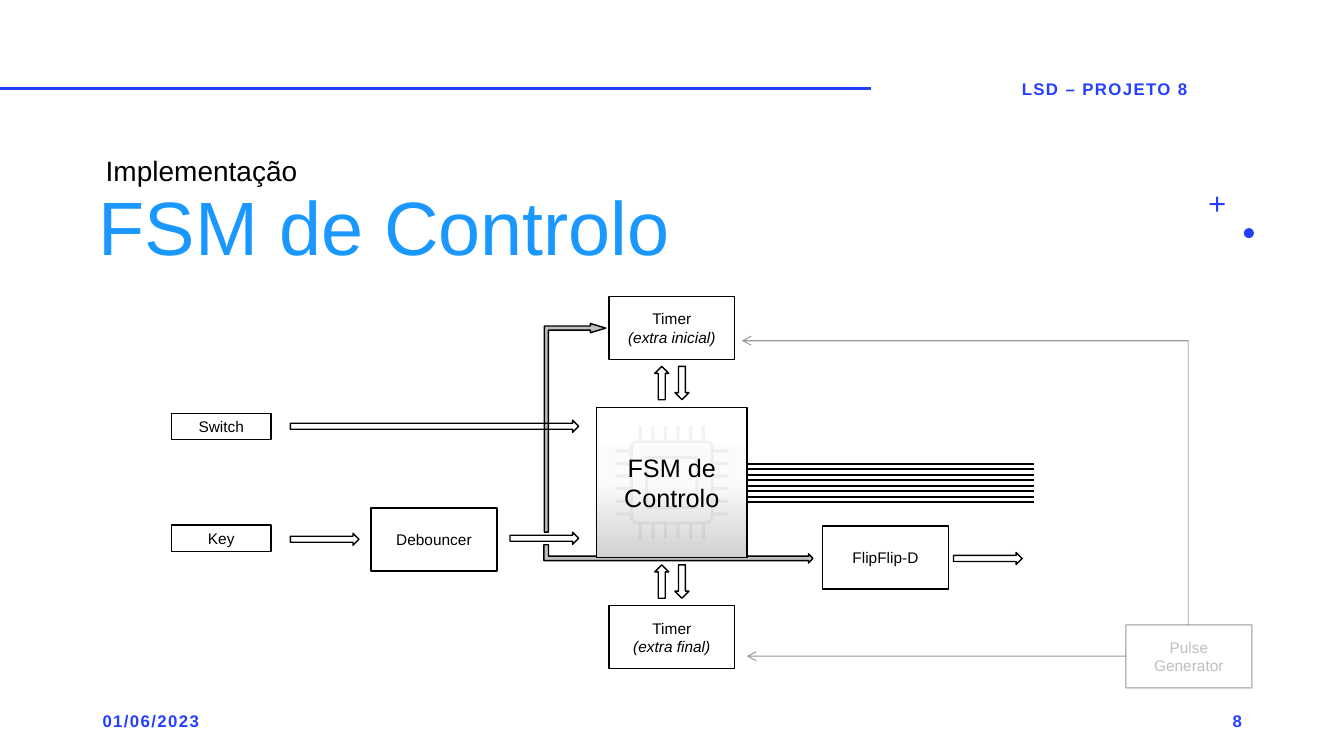
from math import cos, pi, sin

from lxml import etree
from pptx import Presentation
from pptx.dml.color import RGBColor
from pptx.enum.shapes import MSO_CONNECTOR, MSO_SHAPE
from pptx.enum.text import MSO_ANCHOR, PP_ALIGN
from pptx.oxml.ns import qn
from pptx.util import Pt

RECT, ARROW = MSO_SHAPE.RECTANGLE, MSO_SHAPE.RIGHT_ARROW
BENT, BENT_UP = MSO_SHAPE.BENT_ARROW, MSO_SHAPE.BENT_UP_ARROW
CROSS, OVAL = MSO_SHAPE.CROSS, MSO_SHAPE.OVAL
STRAIGHT = MSO_CONNECTOR.STRAIGHT
LEFT, CENTER, RIGHT = PP_ALIGN.LEFT, PP_ALIGN.CENTER, PP_ALIGN.RIGHT
MIDDLE, BOTTOM = MSO_ANCHOR.MIDDLE, MSO_ANCHOR.BOTTOM

BLUE, SKY, BLACK, GRAY = "243FFF", "1A98FF", "000000", "BFBFBF"
SMALL = {"size": Pt(12), "bold": True}
LABEL = {"size": Pt(11)}

# text, position and size, alignment, anchor, colour, font, letter spacing
TEXTS = [
    ("01/06/2023", (66.2, 500.4, 216, 28.8), LEFT, MIDDLE, BLUE, SMALL, 1),
    ("LSD – PROJETO 8", (627.1, 49, 324, 28.8), CENTER, MIDDLE, BLUE, SMALL, 1),
    ("8", (678.2, 500.4, 216, 28.8), RIGHT, MIDDLE, BLUE, SMALL, 1),
    ("FSM de Controlo", (63.4, 105.1, 487.4, 92.9), LEFT, BOTTOM, SKY, {"size": Pt(54)}, 0),
    ("Implementação", (68.4, 44.6, 487.4, 92.9), LEFT, BOTTOM, BLACK, {"size": Pt(20)}, 0),
]
PORT, BLOCK = (71.3, 18.7), (90, 45)
# label, italic second line, left and top, size, text colour, line opacity
BOXES = [
    ("Switch", "", (122.4, 295.2), PORT, BLACK, 100),
    ("Key", "", (122.4, 375.1), PORT, BLACK, 100),
    ("Debouncer", "", (265, 362.9), BLOCK, BLACK, 100),
    ("Timer", "(extra inicial)", (434.9, 211.7), BLOCK, BLACK, 100),
    ("Timer", "(extra final)", (434.9, 432.7), BLOCK, BLACK, 100),
    ("FlipFlip-D", "", (587.5, 375.8), BLOCK, BLACK, 100),
    ("Pulse Generator", "", (804.2, 446.4), BLOCK, GRAY, 25),
]
FSM = (426.2, 290.9, 107.3, 107.3)
FSM_STOPS = [(0, "FFFFFF"), (50, "FBFBFB"), (100, "D1D1D1")]
SIGNALS = [(207.4, 300.2, 205.9), (207.4, 380.9, 49), (364.3, 380.2, 49), (681.1, 394.6, 49)]
TIMER_LINKS = [(472.7, 270), (487.1, 90)]
TIMER_LINK_CENTERS = [273.6, 415.4]
# start, end, width, opacity, arrowhead
PULSES = [
    ((804.2, 468.7), (533.5, 468.7), 0.75, 40, True),
    ((848.9, 446.4), (848.9, 243.4), 1, 20, False),
    ((848.9, 243.4), (529.9, 243.4), 0.75, 40, True),
]


def rgb(color):
    """Turn a hex string into a colour."""
    return RGBColor.from_string(color)


def set_alpha(s, percent):
    """Make every colour of the shape partly transparent."""
    if percent < 100:
        for clr in s._element.spPr.iter(qn("a:srgbClr")):
            etree.SubElement(clr, qn("a:alpha"), val=str(percent * 1000))


def style(s, fill=None, line=None, width=1, alpha=100):
    """Set fill, line and opacity, and remove the shadow."""
    s.shadow.inherit = False
    for part, color in ((s.fill, fill), (s.line.fill, line)):
        if color:
            part.solid()
            part.fore_color.rgb = rgb(color)
        else:
            part.background()
    if line:
        s.line.width = Pt(width)
    set_alpha(s, alpha)
    return s


def add_shape(kind, box, adjust=(), rotation=0, **look):
    """Add a preset shape."""
    s = shapes.add_shape(kind, *map(Pt, box))
    for i, value in enumerate(adjust):
        s.adjustments[i] = value
    s.rotation = rotation
    return style(s, **look)


def add_line(start, end, color, width, alpha=100, head=False):
    """Add a straight line, with an open arrowhead at its end if wanted."""
    s = shapes.add_connector(STRAIGHT, *map(Pt, start + end))
    s.line.color.rgb = rgb(color)
    s.line.width = Pt(width)
    set_alpha(s, alpha)
    if head:
        etree.SubElement(s.line._get_or_add_ln(), qn("a:tailEnd"), type="arrow")
    etree.SubElement(s._element.spPr, qn("a:effectLst"))


def write(s, lines, align, anchor, color, spacing=0, leading=None):
    """Write one paragraph for each (text, font) pair."""
    tf = s.text_frame
    tf.word_wrap = True
    tf.vertical_anchor = anchor
    for i, (text, font) in enumerate(lines):
        p = tf.add_paragraph() if i else tf.paragraphs[0]
        p.alignment = align
        if leading:
            p.line_spacing = leading
        r = p.add_run()
        r.text = text
        r.font.color.rgb = rgb(color)
        for key, value in {"name": "Arial", **font}.items():
            setattr(r.font, key, value)
        if spacing:
            r._r.get_or_add_rPr().set("spc", str(spacing * 100))


def set_gradient(s, stops):
    """Fill the shape with a gradient from top to bottom."""
    s.fill.gradient()
    grad = s._element.spPr.find(qn("a:gradFill"))
    grad.find(qn("a:lin")).set("ang", "5400000")
    gs_list = grad.find(qn("a:gsLst"))
    gs_list.clear()
    for percent, color in stops:
        gs = etree.SubElement(gs_list, qn("a:gs"), pos=str(percent * 1000))
        etree.SubElement(gs, qn("a:srgbClr"), val=color)


def square(half, radius=0, pins=(), reach=0, pin_width=2.2):
    """Outline a centred square with rounded corners and pins on each side."""
    top = []
    for x in pins:
        a, b = x - pin_width / 2, x + pin_width / 2
        top += [(a, -half), (a, -reach), (b, -reach), (b, -half)]
    c = half - radius
    turns = [i * pi / 12 for i in range(7)] if radius else [0]
    top += [(c + radius * sin(t), -c - radius * cos(t)) for t in turns]
    points = []
    for _ in range(4):
        points += top
        top = [(-y, x) for x, y in top]
    return points


def add_outline(center, contours, color, alpha):
    """Add a freeform of closed contours around a centre."""
    moved = [[(Pt(center[0] + x), Pt(center[1] + y)) for x, y in c] for c in contours]
    builder = shapes.build_freeform(*moved[0][0], scale=1.0)
    for i, points in enumerate(moved):
        if i:
            builder.move_to(*points[0])
        builder.add_line_segments(points[1:], close=True)
    style(builder.convert_to_shape(), fill=color, alpha=alpha)


prs = Presentation()
prs.slide_width, prs.slide_height = Pt(960), Pt(540)
shapes = prs.slides.add_slide(prs.slide_layouts[6]).shapes

add_line((0, 63.4), (622.1, 63.4), BLUE, 2)
add_shape(OVAL, (888.5, 162.9, 7.2, 7.2), fill=BLUE)
add_shape(CROSS, (864, 140.4, 10.8, 10.8), adjust=[0.43], fill=BLUE)
add_shape(BENT, (388.8, 231.1, 43.9, 149), [0.067, 0.075, 0.25, 0], fill=GRAY, line=BLACK)
add_shape(BENT_UP, (478.1, 299.5, 13, 192.2), rotation=90, fill=GRAY, line=BLACK)

for text, box, align, anchor, color, font, spacing in TEXTS:
    leading = 0.9 if anchor == BOTTOM else None
    write(shapes.add_textbox(*map(Pt, box)), [(text, font)], align, anchor, color, spacing, leading)

fsm = add_shape(RECT, FSM, line=BLACK)
set_gradient(fsm, FSM_STOPS)
write(fsm, [("FSM de Controlo", {"size": Pt(18)})], CENTER, MIDDLE, BLACK)
chip_center = (FSM[0] + FSM[2] / 2, FSM[1] + FSM[3] / 2)
pins = [9 * (i - 2.5) for i in range(6)]
add_outline(chip_center, [square(19), square(16.8)], BLACK, 5)
add_outline(chip_center, [square(30, 5.5, pins, 40.3), square(27.8, 3.3)], BLACK, 5)

for label, note, place, size, color, alpha in BOXES:
    s = add_shape(RECT, place + size, line=BLACK, alpha=alpha)
    lines = [(label, LABEL)] + ([(note, {**LABEL, "italic": True})] if note else [])
    write(s, lines, CENTER, MIDDLE, color)

for x, y, length in SIGNALS:
    add_shape(ARROW, (x, y, length, 8.6), line=BLACK)
for y in TIMER_LINK_CENTERS:
    for x, rotation in TIMER_LINKS:
        add_shape(ARROW, (x - 11.9, y - 5, 23.8, 10), rotation=rotation, line=BLACK)

for i in range(8):
    y = 331.2 + 7.9 * (i // 2) + 3.7 * (i % 2)
    add_line((533.5, y), (738.7, y), BLACK, 1.5)
for start, end, width, alpha, head in PULSES:
    add_line(start, end, BLACK, width, alpha, head)

prs.save("out.pptx")
